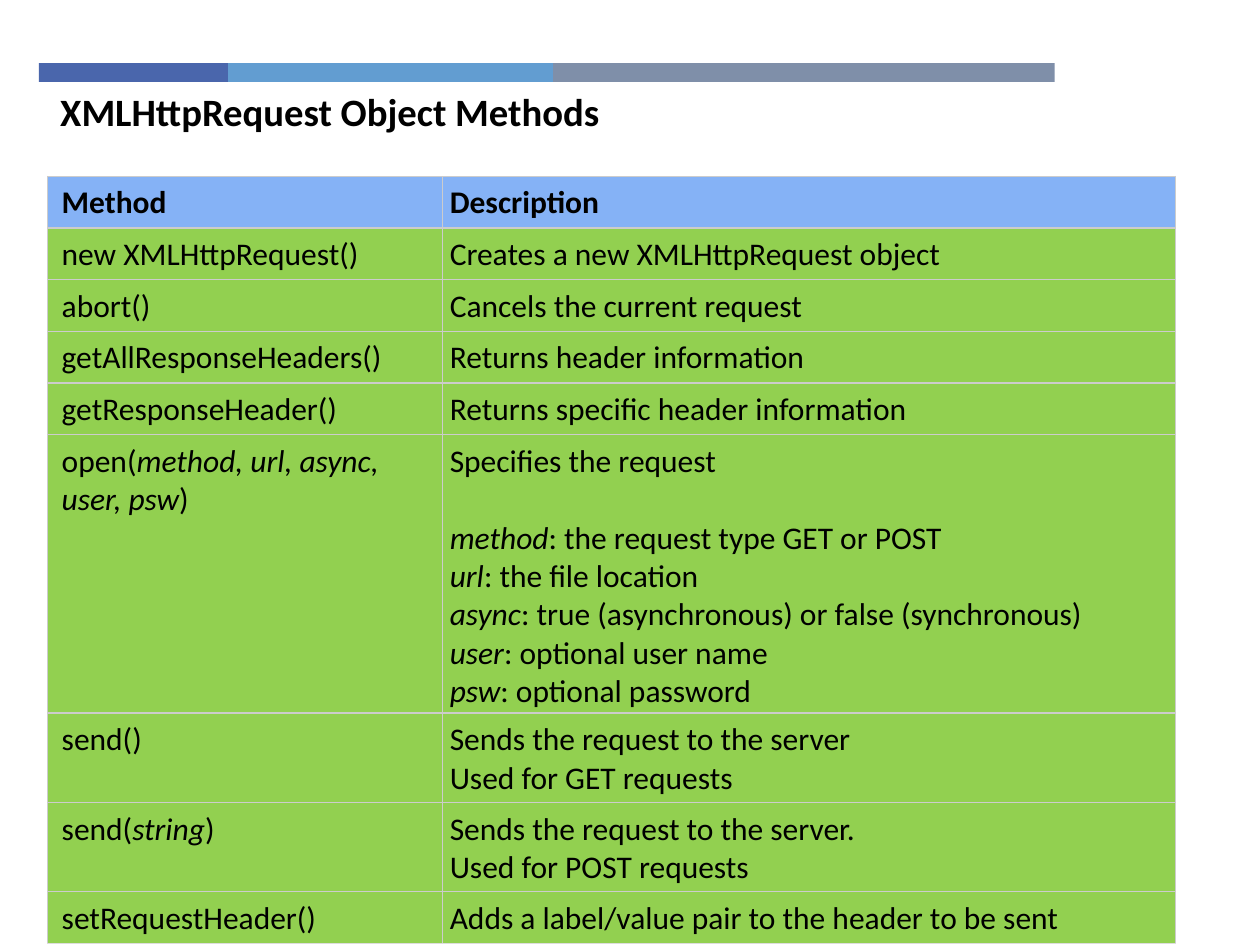
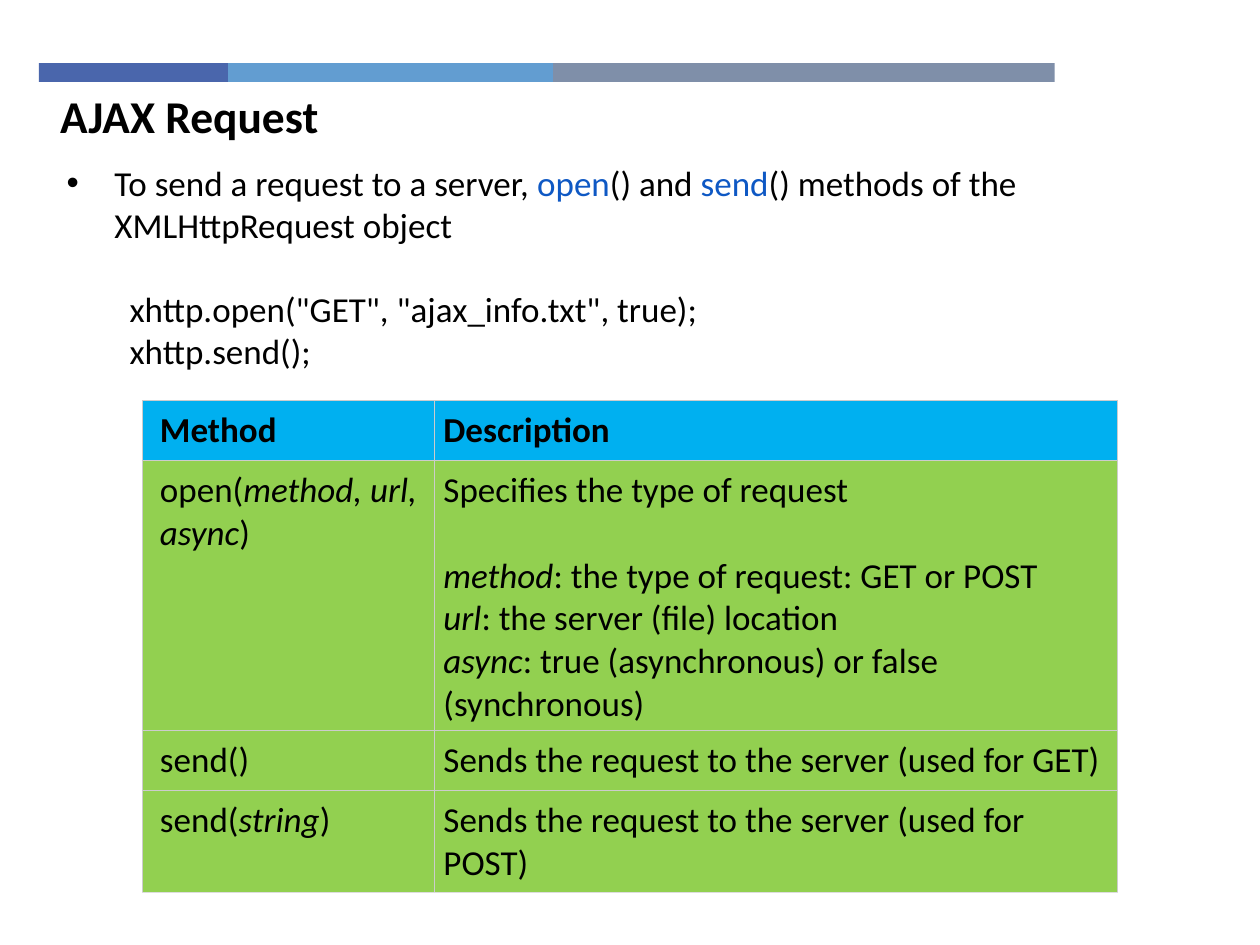
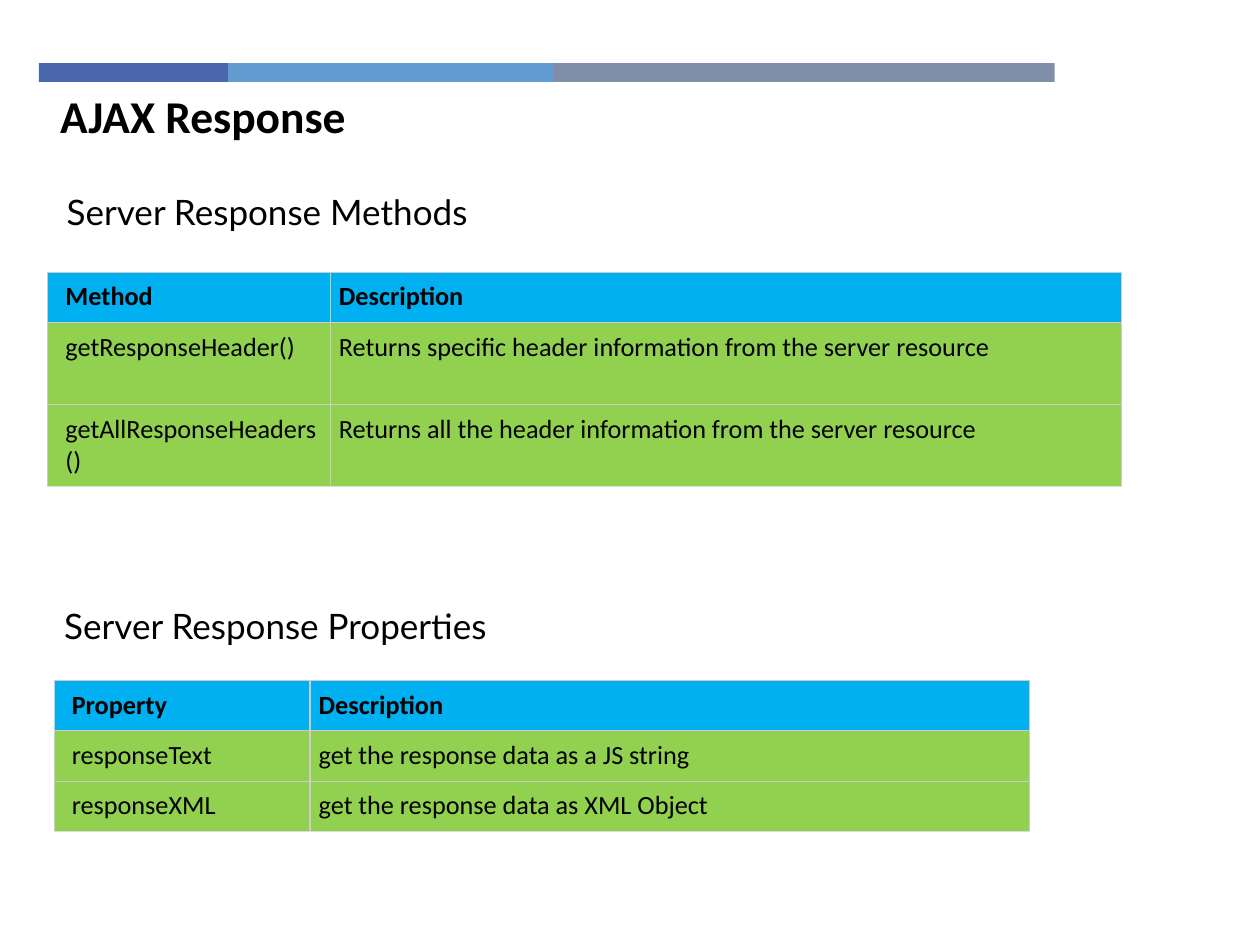
import pptx
import pptx.dml.color
import pptx.enum.shapes
import pptx.enum.text
import pptx.oxml
import pptx.oxml.ns
import pptx.util
from pptx.util import Inches

COLOURS = {
    "black": "000000", "white": "FFFFFF", "link": "0E58C4",
    "bar_dark": "4A66AC", "bar_light": "629DD1", "bar_grey": "7F8FA9",
    "pale_blue": "85B2F6", "bright_blue": "00B0F0", "green": "92D050",
    "border": "CCCCCC", "last_border": "DDDDDD",
}
BAND = [("bar_dark", 1.5), ("bar_light", 2.58), ("bar_grey", 3.98)]
LINE_HEIGHT = 1.22


def colour(name):
    """Return the named colour of the palette."""
    return pptx.dml.color.RGBColor.from_string(COLOURS[name])


def write_text(frame, text, size=20, font="Calibri", bold=False,
               italic_marks=True, mark_colour="black"):
    """Fill a frame: *marks* emphasise, one newline breaks, two leave a gap."""
    for index, block in enumerate(text.split("\n\n")):
        paragraph = frame.add_paragraph() if index else frame.paragraphs[0]
        paragraph.alignment = pptx.enum.text.PP_ALIGN.LEFT
        if index:
            paragraph.space_before = pptx.util.Pt(round(size * LINE_HEIGHT, 1))
        for number, line in enumerate(block.split("\n")):
            if number:
                paragraph.add_line_break()
            for position, part in enumerate(line.split("*")):
                if not part:
                    continue
                marked = position % 2 == 1
                run = paragraph.add_run()
                run.text = part
                run.font.name = font
                run.font.size = pptx.util.Pt(size)
                run.font.bold = bold
                run.font.italic = marked and italic_marks
                run.font.color.rgb = colour(mark_colour if marked else "black")


def set_margins(target, left, top, right, bottom):
    """Set the four inner margins of a text frame or a cell."""
    target.margin_left, target.margin_top = Inches(left), Inches(top)
    target.margin_right, target.margin_bottom = Inches(right), Inches(bottom)


def set_borders(cell, bottom):
    """Draw thin lines on the four sides of a cell."""
    properties = cell._tc.get_or_add_tcPr()
    sides = {"lnL": "border", "lnR": "border", "lnT": "border", "lnB": bottom}
    for index, (tag, name) in enumerate(sides.items()):
        properties.insert(index, pptx.oxml.parse_xml(
            f'<a:{tag} {pptx.oxml.ns.nsdecls("a")} w="9525"><a:solidFill>'
            f'<a:srgbClr val="{COLOURS[name]}"/></a:solidFill></a:{tag}>'))


class Deck:
    """The presentation, its common style and the current slide."""

    def __init__(self):
        """Start an empty 10 by 7.5 inch presentation."""
        self.presentation = pptx.Presentation()
        self.presentation.slide_width = Inches(10)
        self.presentation.slide_height = Inches(7.5)
        self.slide = None

    def add_slide(self, title, size=26):
        """Add a slide with the three-part band and a title."""
        layout = self.presentation.slide_layouts[6]
        self.slide = self.presentation.slides.add_slide(layout)
        left = 0.31
        for name, width in BAND:
            self.rectangle(left, 0.5, width, 0.15, name)
            left += width
        write_text(self.text_box(0.38, 0.65, 4.6, 0.54), title, size, bold=True)

    def rectangle(self, left, top, width, height, fill):
        """Add a plain filled rectangle."""
        shape = self.slide.shapes.add_shape(
            pptx.enum.shapes.MSO_SHAPE.RECTANGLE,
            Inches(left), Inches(top), Inches(width), Inches(height))
        shape.shadow.inherit = False
        shape.fill.solid()
        shape.fill.fore_color.rgb = colour(fill)
        shape.line.fill.background()
        return shape

    def text_box(self, left, top, width, height):
        """Add a wrapping text box and return its frame."""
        frame = self.slide.shapes.add_textbox(
            Inches(left), Inches(top), Inches(width), Inches(height)).text_frame
        frame.word_wrap = True
        return frame

    def heading(self, text, left, top, width, height, side=0, edge=0.1):
        """Add a heading on a white rectangle."""
        frame = self.rectangle(left, top, width, height, "white").text_frame
        frame.word_wrap = True
        frame.vertical_anchor = pptx.enum.text.MSO_ANCHOR.MIDDLE
        set_margins(frame, side, edge, side, edge)
        write_text(frame, text, font="Lato")

    def bullet_with_code(self, text, left, top, width, height):
        """Add a bulleted paragraph followed by indented code."""
        frame = self.text_box(left, top, width, height)
        write_text(frame, text, italic_marks=False, mark_colour="link")
        bullet, code = (p._p.get_or_add_pPr() for p in frame.paragraphs)
        bullet.set("marL", str(Inches(0.38)))
        bullet.set("indent", str(Inches(-0.38)))
        namespace = pptx.oxml.ns.nsdecls("a")
        bullet.append(pptx.oxml.parse_xml(
            f'<a:buFont {namespace} typeface="Arial"/>'))
        bullet.append(pptx.oxml.parse_xml(f'<a:buChar {namespace} char="•"/>'))
        code.set("marL", str(Inches(0.5)))

    def table(self, left, top, columns, heights, rows, size,
              header="bright_blue", margins=(0.14, 0.07, 0.07, 0.07)):
        """Add a table with a coloured header row and green body rows."""
        table = self.slide.shapes.add_table(
            len(rows), len(columns), Inches(left), Inches(top),
            Inches(sum(columns)), Inches(sum(heights))).table
        for column, width in zip(table.columns, columns):
            column.width = Inches(width)
        for row_index, (texts, height) in enumerate(zip(rows, heights)):
            table.rows[row_index].height = Inches(height)
            is_last = row_index == len(rows) - 1
            for column_index, text in enumerate(texts):
                cell = table.cell(row_index, column_index)
                cell.fill.solid()
                cell.fill.fore_color.rgb = colour("green" if row_index else header)
                first, *others = margins
                set_margins(cell, others[1] if column_index else first, *others)
                set_borders(cell, "last_border" if is_last else "border")
                write_text(cell.text_frame, text, size, bold=row_index == 0)


deck = Deck()

deck.add_slide("XMLHttpRequest Object Methods", size=22.1)
deck.table(0.38, 1.4, [3.13, 5.82], [0.41] * 5 + [2.21, 0.71, 0.71, 0.41], [
    ("Method", "Description"),
    ("new XMLHttpRequest()", "Creates a new XMLHttpRequest object"),
    ("abort()", "Cancels the current request"),
    ("getAllResponseHeaders()", "Returns header information"),
    ("getResponseHeader()", "Returns specific header information"),
    ("open(*method, url, async, user, psw*)",
     "Specifies the request\n\n"
     "*method*: the request type GET or POST\n"
     "*url*: the file location\n"
     "*async*: true (asynchronous) or false (synchronous)\n"
     "*user*: optional user name\n"
     "*psw*: optional password"),
    ("send()", "Sends the request to the server\nUsed for GET requests"),
    ("send(*string*)", "Sends the request to the server.\nUsed for POST requests"),
    ("setRequestHeader()", "Adds a label/value pair to the header to be sent"),
], size=18, header="pale_blue", margins=(0.11, 0.06, 0.06, 0.04))

deck.add_slide("AJAX Request")
deck.bullet_with_code(
    "To send a request to a server, *open*() and *send*() methods of the "
    "XMLHttpRequest object\n\n"
    'xhttp.open("GET", "ajax_info.txt", true);\nxhttp.send();',
    0.43, 1.23, 8.62, 1.78)
deck.table(1.13, 3.18, [2.32, 5.42], [0.47, 2.14, 0.47, 0.81], [
    ("Method", "Description"),
    ("open(*method, url, async*)",
     "Specifies the type of request\n\n"
     "*method*: the type of request: GET or POST\n"
     "*url*: the server (file) location\n"
     "*async*: true (asynchronous) or false (synchronous)"),
    ("send()", "Sends the request to the server (used for GET)"),
    ("send(*string*)", "Sends the request to the server (used for POST)"),
], size=20)

deck.add_slide("AJAX Response")
deck.table(0.43, 5.4, [2.03, 5.71], [0.4] * 3, [
    ("Property", "Description"),
    ("responseText", "get the response data as a JS string"),
    ("responseXML", "get the response data as XML Object"),
], size=15)
deck.table(0.38, 2.16, [2.24, 6.28], [0.4, 0.65, 0.65], [
    ("Method", "Description"),
    ("getResponseHeader()",
     "Returns specific header information from the server resource"),
    ("getAllResponseHeaders()",
     "Returns all the header information from the server resource"),
], size=15)
deck.heading("Server Response Properties", 0.63, 4.6, 5.55, 0.73,
             side=-0.12, edge=0.2)
deck.heading("Server Response Methods", 0.53, 1.41, 5.94, 0.53)

deck.presentation.save("out.pptx")
